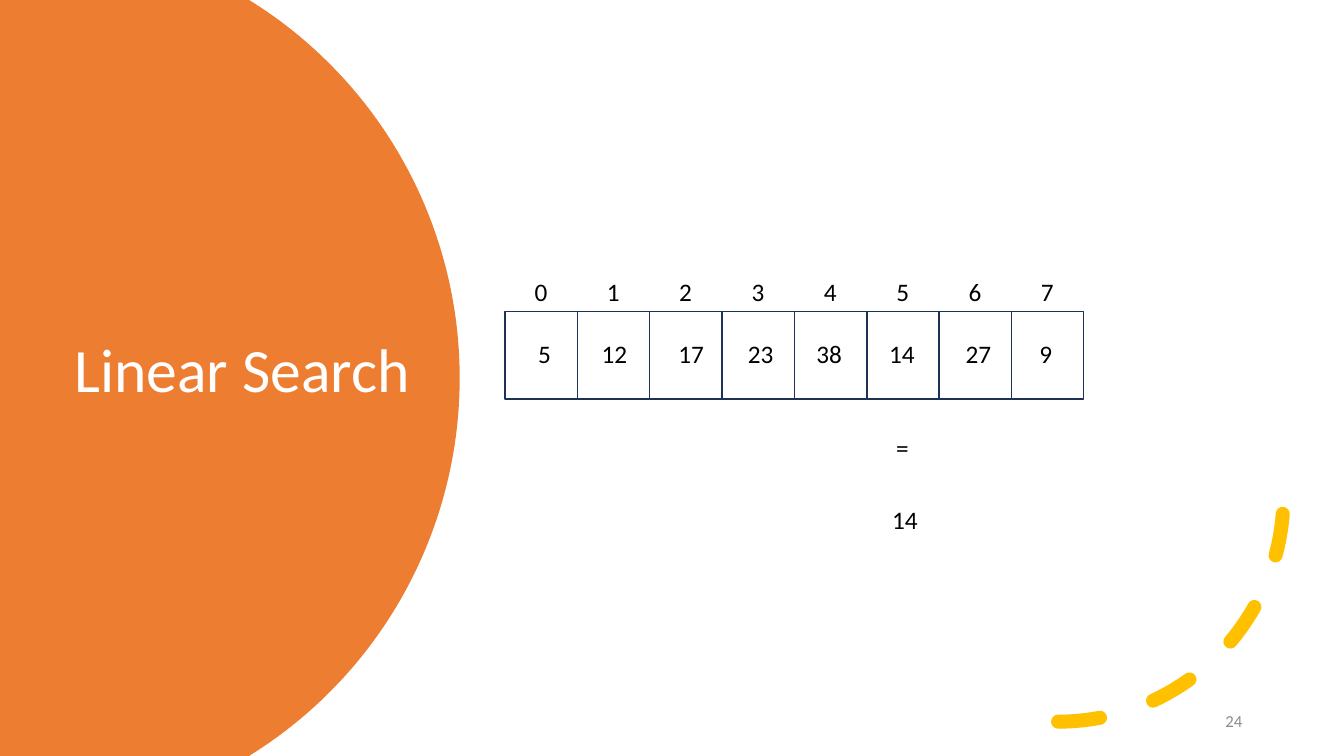
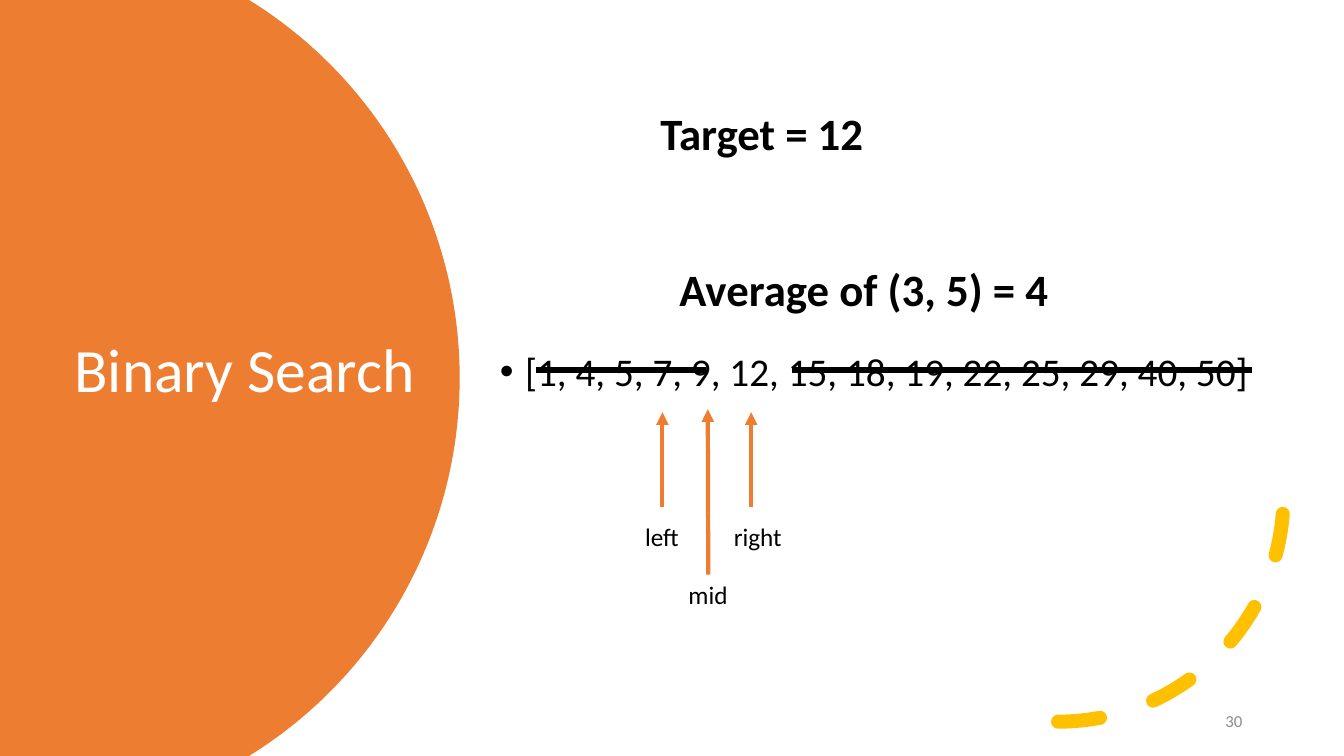
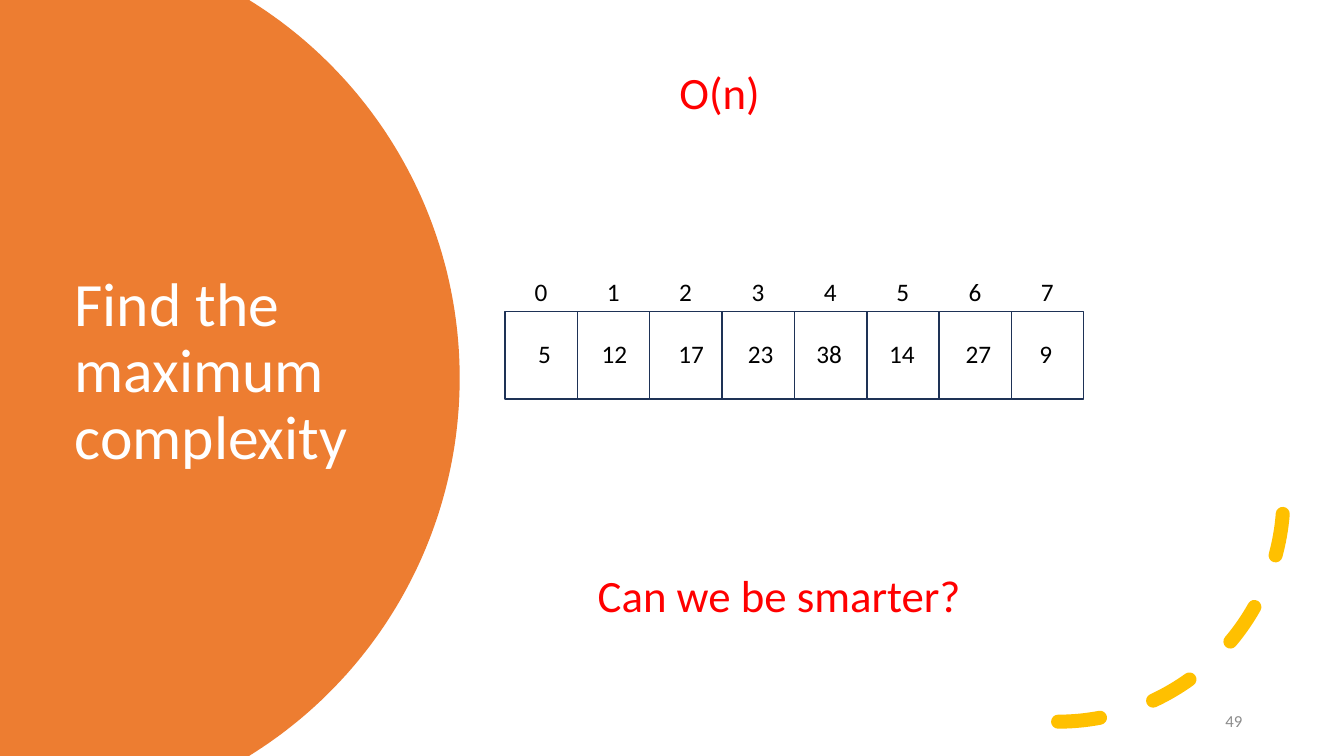
from dataclasses import dataclass
from math import asin, cos, sin

from lxml.etree import SubElement
from pptx import Presentation
from pptx.dml.color import RGBColor
from pptx.enum.dml import MSO_LINE_DASH_STYLE as DASH
from pptx.enum.shapes import MSO_CONNECTOR as CONNECTOR, MSO_SHAPE as SHAPE
from pptx.enum.text import MSO_ANCHOR as ANCHOR, MSO_AUTO_SIZE as AUTO_SIZE, PP_ALIGN as ALIGN
from pptx.oxml.ns import qn
from pptx.shapes.autoshape import Shape
from pptx.shapes.connector import Connector
from pptx.slide import Slide
from pptx.util import Inches, Pt

# Shared style
FONT = "Calibri"
ORANGE, GOLD, NAVY = "ED7D31", "FFC000", "1E3256"
BLACK, WHITE, GREY, RED = "000000", "FFFFFF", "8C8C8C", "FF0000"
SLIDE_W, SLIDE_H = 13.33, 7.5

# Title disc, cut off by the left, top and bottom edges
DISC_X, DISC_Y, DISC_R = 0.15, 3.75, 4.41
DISC_STEPS = 120

# Array of cells
ARRAY_LEFT, ARRAY_RIGHT, ARRAY_TOP, CELL_H = 5.01, 10.75, 3.09, 0.87
INDEX_TOP, VALUE_TOP = 2.69, 3.31
LABEL_H = 0.4
DIGIT_W, TWO_DIGIT_W = 0.33, 0.46


@dataclass(frozen=True)
class Value:
    text: str
    left: float


@dataclass(frozen=True)
class Callout:
    text: str
    left: float
    top: float
    width: float
    color: str = BLACK
    bold: bool = False


@dataclass(frozen=True)
class Pointer:
    text: str
    left: float
    top: float
    width: float
    x: float
    start_y: float
    tip_y: float


@dataclass(frozen=True)
class Strike:
    start_x: float
    end_x: float


VALUES = [
    Value("5", 5.24), Value("12", 5.87), Value("17", 6.63), Value("23", 7.32),
    Value("38", 8.0), Value("14", 8.72), Value("27", 9.48), Value("9", 10.21),
]
POINTERS = [
    Pointer("left", 6.3, 5.12, 0.55, 6.57, 5.03, 4.09),
    Pointer("right", 7.18, 5.12, 0.68, 7.45, 5.03, 4.09),
    Pointer("mid", 6.73, 5.7, 0.59, 7.02, 5.7, 4.06),
]
STRIKES = [Strike(7.86, 12.42), Strike(5.32, 6.23), Strike(6.1, 7.0)]
STRIKE_Y = 3.67


def rgb(color: str) -> RGBColor:
    return RGBColor.from_string(color)


# Basic parts
def add_text(s: Slide, text: str, left: float, top: float, width: float, height: float,
             size: float, color: str = BLACK, bold: bool = False, wrap: bool = True,
             grow: bool = False, anchor: ANCHOR = ANCHOR.TOP) -> Shape:
    sp = s.shapes.add_textbox(Inches(left), Inches(top), Inches(width), Inches(height))
    tf = sp.text_frame
    tf.text = text
    tf.word_wrap = wrap
    tf.auto_size = AUTO_SIZE.SHAPE_TO_FIT_TEXT if grow else AUTO_SIZE.NONE
    tf.vertical_anchor = anchor
    for r in tf.paragraphs[0].runs:
        r.font.name = FONT
        r.font.size = Pt(size)
        r.font.bold = bold
        r.font.color.rgb = rgb(color)
    return sp


def add_label(s: Slide, text: str, left: float, top: float, width: float) -> Shape:
    return add_text(s, text, left, top, width, LABEL_H, 18, wrap=False, grow=True)


def add_callout(s: Slide, c: Callout) -> None:
    add_text(s, c.text, c.left, c.top, c.width, 0.64, 32, c.color, c.bold, grow=True)


def add_line(s: Slide, x1: float, y1: float, x2: float, y2: float,
             color: str, width: float, arrow: bool = False) -> Connector:
    line = s.shapes.add_connector(CONNECTOR.STRAIGHT, Inches(x1), Inches(y1),
                                  Inches(x2), Inches(y2))
    line.line.color.rgb = rgb(color)
    line.line.width = Pt(width)
    if arrow:
        SubElement(line.line._get_or_add_ln(), qn("a:tailEnd"), type="triangle")
    SubElement(line._element.spPr, qn("a:effectLst"))
    return line


# Parts on every slide
def add_disc(s: Slide) -> None:
    half_angle = asin(DISC_Y / DISC_R)
    angles = [half_angle * (2 * i / DISC_STEPS - 1) for i in range(DISC_STEPS + 1)]
    rim = [(Inches(DISC_X + DISC_R * cos(a)), Inches(DISC_Y + DISC_R * sin(a)))
           for a in angles]
    builder = s.shapes.build_freeform(0, 0)
    builder.add_line_segments(rim + [(0, Inches(SLIDE_H))], close=True)
    sp = builder.convert_to_shape()
    sp.shadow.inherit = False
    sp.fill.solid()
    sp.fill.fore_color.rgb = rgb(ORANGE)
    sp.line.fill.background()


def add_dashed_arc(s: Slide) -> None:
    sp = s.shapes.add_shape(SHAPE.ARC, Inches(8.26), Inches(2.69), Inches(4.47), Inches(4.47))
    sp.shadow.inherit = False
    sp.fill.background()
    sp.line.color.rgb = rgb(GOLD)
    sp.line.width = Pt(10)
    sp.line.dash_style = DASH.DASH
    sp.line._get_or_add_ln().set("cap", "rnd")
    sp._element.spPr.find(qn("a:xfrm")).set("flipV", "1")


def add_base(prs: Presentation, title: str, number: int) -> Slide:
    s = prs.slides.add_slide(prs.slide_layouts[6])
    add_disc(s)
    sp = add_text(s, title, 0.64, 1.26, 4.11, 4.88, 44, WHITE, anchor=ANCHOR.MIDDLE)
    sp.text_frame.paragraphs[0].line_spacing = 0.9
    add_dashed_arc(s)
    sp = add_text(s, str(number), 9.42, 6.95, 3, 0.4, 12, GREY, anchor=ANCHOR.MIDDLE)
    sp.text_frame.paragraphs[0].alignment = ALIGN.RIGHT
    return s


# Parts of single slides
def add_array(s: Slide) -> None:
    cell_w = (ARRAY_RIGHT - ARRAY_LEFT) / len(VALUES)
    lefts = [ARRAY_LEFT + i * cell_w for i in range(len(VALUES))]
    for left in lefts:
        sp = s.shapes.add_shape(SHAPE.RECTANGLE, Inches(left), Inches(ARRAY_TOP),
                                Inches(cell_w), Inches(CELL_H))
        sp.shadow.inherit = False
        sp.fill.background()
        sp.line.color.rgb = rgb(NAVY)
        sp.line.width = Pt(1)
    for i, (left, value) in enumerate(zip(lefts, VALUES)):
        add_label(s, str(i), left + (cell_w - DIGIT_W) / 2, INDEX_TOP, DIGIT_W)
        width = DIGIT_W if len(value.text) == 1 else TWO_DIGIT_W
        add_label(s, value.text, value.left, VALUE_TOP, width)


def add_number_list(s: Slide, text: str) -> None:
    sp = add_text(s, text, 4.86, 0.65, 7.97, 6.11, 28, anchor=ANCHOR.MIDDLE)
    p = sp.text_frame.paragraphs[0]
    p.line_spacing = 0.9
    p.space_before = Pt(10)
    pPr = p._p.get_or_add_pPr()
    pPr.set("marL", str(Inches(0.25)))
    pPr.set("indent", str(-Inches(0.25)))
    SubElement(pPr, qn("a:buFont"), typeface="Arial")
    SubElement(pPr, qn("a:buChar"), char="•")


def add_pointer(s: Slide, pointer: Pointer) -> None:
    label = add_label(s, pointer.text, pointer.left, pointer.top, pointer.width)
    arrow = add_line(s, pointer.x, pointer.start_y, pointer.x, pointer.tip_y,
                     ORANGE, 3, arrow=True)
    if pointer.start_y == pointer.top:
        arrow.begin_connect(label, 0)


# Slides
def add_linear_search(prs: Presentation) -> None:
    s = add_base(prs, "Linear Search", 24)
    add_array(s)
    add_label(s, "14", 8.75, 4.95, TWO_DIGIT_W)
    add_label(s, "=", 8.79, 4.24, DIGIT_W)


def add_binary_search(prs: Presentation) -> None:
    s = add_base(prs, "Binary Search", 30)
    add_number_list(s, "[1, 4, 5, 7, 9, 12, 15, 18, 19, 22, 25, 29, 40, 50]")
    add_callout(s, Callout("Target = 12", 6.45, 1, 3.58, bold=True))
    add_callout(s, Callout("Average of (3, 5) = 4", 6.64, 2.55, 4.47, bold=True))
    for pointer in POINTERS:
        add_pointer(s, pointer)
    for strike in STRIKES:
        add_line(s, strike.start_x, STRIKE_Y, strike.end_x, STRIKE_Y, BLACK, 4)


def add_complexity(prs: Presentation) -> None:
    s = add_base(prs, "Find the maximum\vcomplexity", 49)
    add_array(s)
    add_callout(s, Callout("O(n)", 6.64, 0.59, 3.41, RED))
    add_callout(s, Callout("Can we be smarter?", 5.83, 5.58, 4.22, RED))


def main() -> None:
    prs = Presentation()
    prs.slide_width = Inches(SLIDE_W)
    prs.slide_height = Inches(SLIDE_H)
    add_linear_search(prs)
    add_binary_search(prs)
    add_complexity(prs)
    prs.save("out.pptx")


if __name__ == "__main__":
    main()
